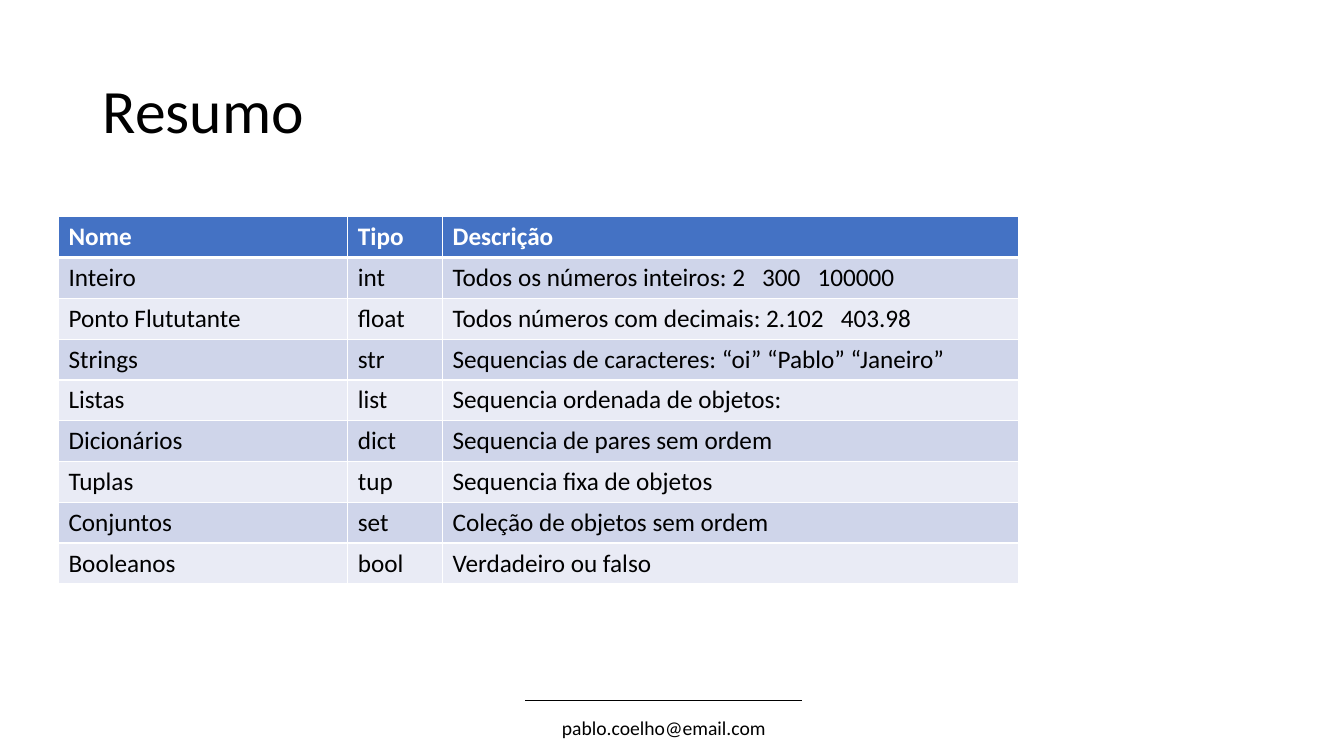
from lxml import etree
from pptx import Presentation
from pptx import util as u
from pptx.dml.color import RGBColor
from pptx.enum import shapes, text
from pptx.oxml.ns import qn

FONT = "Calibri"
BLACK = RGBColor(0x00, 0x00, 0x00)
WHITE = RGBColor(0xFF, 0xFF, 0xFF)
HEADER_BLUE = RGBColor(0x44, 0x72, 0xC4)
BAND_DARK = RGBColor(0xCF, 0xD5, 0xEA)
BAND_LIGHT = RGBColor(0xE9, 0xEB, 0xF5)

COLUMN_WIDTHS = (2.87, 0.94, 5.71)
ROW_HEIGHT = 0.405
EXAMPLE_STOPS = (3.07, 3.62, 3.85)
ROWS = (
    ("Nome", "Tipo", "Descrição"),
    ("Inteiro", "int", "Todos os números inteiros: 2\t300\t100000"),
    ("Ponto Flututante", "float", "Todos números com decimais: 2.102\t403.98"),
    ("Strings", "str", "Sequencias de caracteres: “oi” “Pablo” “Janeiro”"),
    ("Listas", "list", "Sequencia ordenada de objetos:"),
    ("Dicionários", "dict", "Sequencia de pares sem ordem"),
    ("Tuplas", "tup", "Sequencia fixa de objetos"),
    ("Conjuntos", "set", "Coleção de objetos sem ordem"),
    ("Booleanos", "bool", "Verdadeiro ou falso"),
)


def add_span(para, wording, size, color=BLACK, bold=False):
    span = para.add_run()
    span.text = wording
    span.font.name = FONT
    span.font.size = u.Pt(size)
    span.font.bold = bold
    span.font.color.rgb = color


def add_text(page, place, wording, size):
    box = page.shapes.add_textbox(*map(u.Inches, place))
    box.text_frame.word_wrap = True
    add_span(box.text_frame.paragraphs[0], wording, size)
    return box.text_frame


def add_line(page, left, right, y):
    line = page.shapes.add_connector(
        shapes.MSO_CONNECTOR.STRAIGHT,
        u.Inches(left), u.Inches(y), u.Inches(right), u.Inches(y))
    line.line.color.rgb = BLACK
    line.line.width = u.Pt(0.5)
    etree.SubElement(line._element.spPr, qn("a:effectLst"))


def set_borders(cell, **widths):
    """Draw white cell borders; widths are points, keyed L, R, T, B in that order."""
    properties = cell._tc.get_or_add_tcPr()
    for side, width in widths.items():
        border = etree.SubElement(properties, qn(f"a:ln{side}"), w=str(u.Pt(width)))
        fill = etree.SubElement(border, qn("a:solidFill"))
        etree.SubElement(fill, qn("a:srgbClr"), val=str(WHITE))


def set_tab_stops(para, stops):
    tabs = etree.SubElement(para._p.get_or_add_pPr(), qn("a:tabLst"))
    for stop in stops:
        etree.SubElement(tabs, qn("a:tab"), pos=str(u.Inches(stop)), algn="l")


def add_type_table(page, left, top):
    frame = page.shapes.add_table(
        len(ROWS), len(COLUMN_WIDTHS), u.Inches(left), u.Inches(top),
        u.Inches(sum(COLUMN_WIDTHS)), u.Inches(ROW_HEIGHT * len(ROWS)))
    table = frame.table
    for column, width in zip(table.columns, COLUMN_WIDTHS):
        column.width = u.Inches(width)
    for r, row in enumerate(ROWS):
        table.rows[r].height = u.Inches(ROW_HEIGHT)
        header = r == 0
        band = HEADER_BLUE if header else BAND_DARK if r % 2 else BAND_LIGHT
        for c, wording in enumerate(row):
            cell = table.cell(r, c)
            set_borders(cell, L=1, R=1, T=3 if r == 1 else 1, B=3 if header else 1)
            cell.fill.solid()
            cell.fill.fore_color.rgb = band
            para = cell.text_frame.paragraphs[0]
            if "\t" in wording:
                set_tab_stops(para, EXAMPLE_STOPS)
            add_span(para, wording, 18, WHITE if header else BLACK, header)


def main():
    deck = Presentation()
    deck.slide_width, deck.slide_height = u.Inches(13.33), u.Inches(7.5)
    page = deck.slides.add_slide(deck.slide_layouts[6])
    page.background.fill.solid()
    page.background.fill.fore_color.rgb = WHITE

    add_line(page, 5.21, 7.95, 6.95)
    footer = add_text(page, (5.21, 7.05, 2.75, 0.34), "pablo.coelho@email.com", 14)
    footer.auto_size = text.MSO_AUTO_SIZE.SHAPE_TO_FIT_TEXT
    footer.paragraphs[0].alignment = text.PP_ALIGN.CENTER

    title = add_text(page, (0.92, 0.4, 11.5, 1.45), "Resumo", 44)
    title.vertical_anchor = text.MSO_ANCHOR.MIDDLE
    title.paragraphs[0].line_spacing = 0.9

    add_type_table(page, 0.58, 2.15)
    deck.save("out.pptx")


if __name__ == "__main__":
    main()
